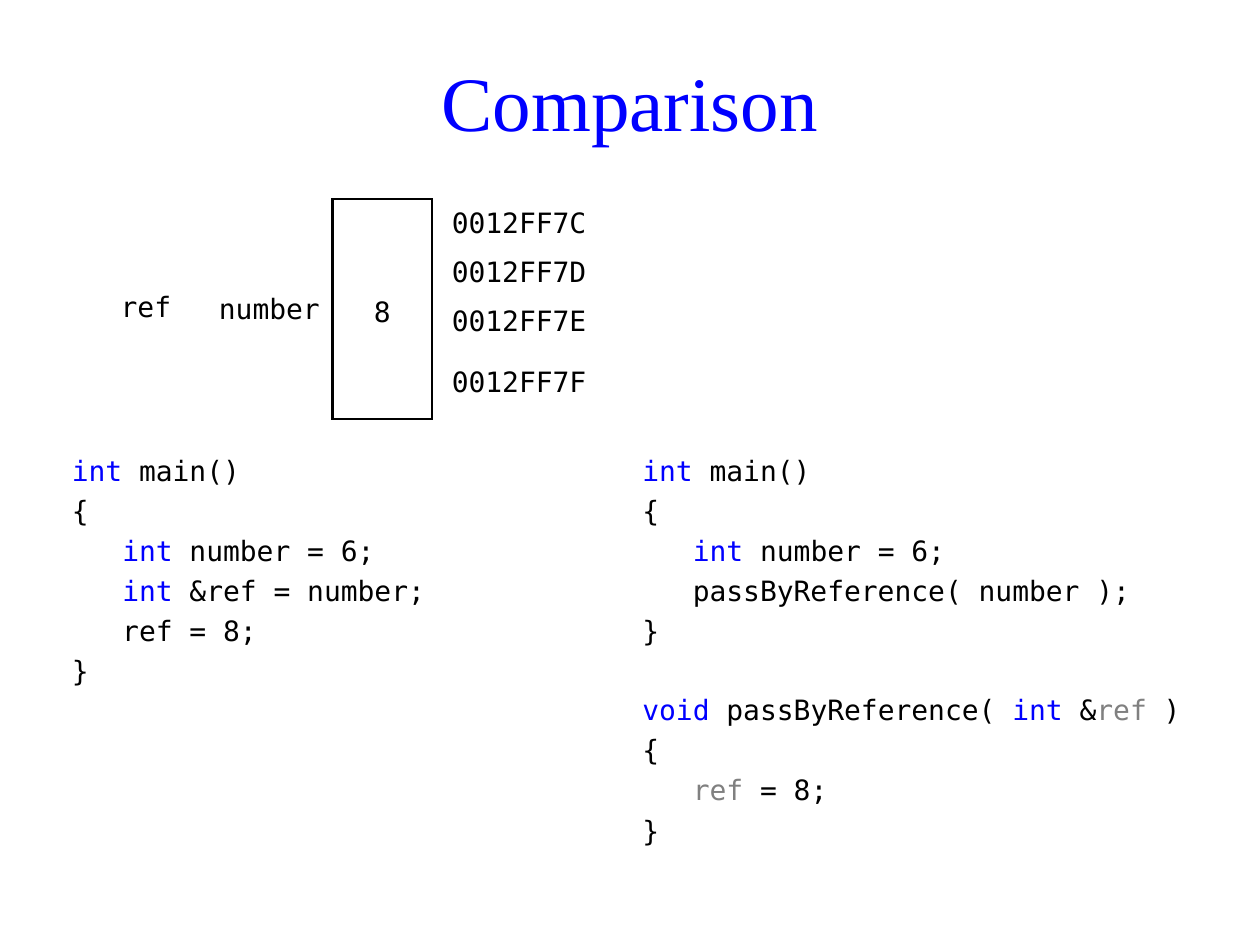
from dataclasses import dataclass

from pptx import Presentation
from pptx.dml.color import RGBColor
from pptx.enum.text import MSO_ANCHOR, PP_ALIGN
from pptx.oxml.ns import qn
from pptx.util import Pt
from lxml import etree

LEFT, CENTER, RIGHT = PP_ALIGN.LEFT, PP_ALIGN.CENTER, PP_ALIGN.RIGHT
TOP, MIDDLE = MSO_ANCHOR.TOP, MSO_ANCHOR.MIDDLE


@dataclass(frozen=True)
class Theme:
    title_font: str = "Times New Roman"
    code_font: str = "DejaVu Sans Mono"
    title_size: float = 44
    code_size: float = 16
    line_gap: float = 3.7
    section_gap: float = 26
    border: float = 1.5
    accent: str = "0000FF"
    ink: str = "000000"
    muted: str = "808080"


THEME = Theme()


def keyword(text):
    return text, THEME.accent


def plain(text):
    return text, THEME.ink


def reference(text):
    return text, THEME.muted


class SlideBuilder:
    def __init__(self, slide, theme):
        self.slide = slide
        self.theme = theme

    def add_span(self, para, text, color, font, size):
        span = para.add_run()
        span.text = text
        span.font.name = font
        span.font.size = Pt(size)
        span.font.color.rgb = RGBColor.from_string(color)

    def text_frame(self, left, top, width, height, anchor):
        box = self.slide.shapes.add_textbox(Pt(left), Pt(top), Pt(width), Pt(height))
        frame = box.text_frame
        frame.word_wrap = True
        frame.vertical_anchor = anchor
        return frame

    def title(self, text, *place):
        para = self.text_frame(*place, MIDDLE).paragraphs[0]
        para.alignment = CENTER
        self.add_span(para, text, self.theme.accent, self.theme.title_font, self.theme.title_size)

    def code(self, functions, *place):
        """Write functions one below another, with a wider gap between them."""
        frame = self.text_frame(*place, TOP)
        para = None
        for lines in functions:
            for index, line in enumerate(lines):
                if para is None:
                    para = frame.paragraphs[0]
                else:
                    para = frame.add_paragraph()
                    para.space_before = Pt(self.theme.line_gap if index else self.theme.section_gap)
                para.alignment = LEFT
                for text, color in line:
                    self.add_span(para, text, color, self.theme.code_font, self.theme.code_size)

    def table(self, left, top, widths, row_height, row_count):
        frame = self.slide.shapes.add_table(
            row_count, len(widths), Pt(left), Pt(top), Pt(sum(widths)), Pt(row_height * row_count))
        table = frame.table
        table.first_row = table.horz_banding = False
        for column, width in zip(table.columns, widths):
            column.width = Pt(width)
        for row in table.rows:
            row.height = Pt(row_height)
        return table

    def style_cell(self, cell, sides):
        """Draw the named sides (of L, R, T, B), clear the others and the fill."""
        properties = cell._tc.get_or_add_tcPr()
        for side in "LRTB":
            line = etree.SubElement(properties, qn(f"a:ln{side}"), w=str(Pt(self.theme.border)))
            if side in sides:
                fill = etree.SubElement(line, qn("a:solidFill"))
                etree.SubElement(fill, qn("a:srgbClr"), val=self.theme.ink)
            else:
                etree.SubElement(line, qn("a:noFill"))
        cell.fill.background()

    def cell_text(self, cell, text, alignment, side_margin, bottom_margin, spacing=1.0):
        cell.vertical_anchor = MIDDLE
        cell.margin_left = cell.margin_right = Pt(side_margin)
        cell.margin_top, cell.margin_bottom = Pt(3), Pt(bottom_margin)
        para = cell.text_frame.paragraphs[0]
        para.alignment = alignment
        para.line_spacing = spacing
        self.add_span(para, text, self.theme.ink, self.theme.code_font, self.theme.code_size)


def add_memory_table(builder):
    addresses = ["0012FF7C", "0012FF7D", "0012FF7E", "0012FF7F"]
    # Text, alignment and bottom margin of the cells that span all rows
    spans = [("ref", RIGHT, 11.5), ("number", RIGHT, 10), ("8", CENTER, 5.8)]
    column_sides = ["", "R", "LRTB", "L"]
    table = builder.table(48, 113.8, [57, 85, 57, 99.4], 28.1, len(addresses))
    last = len(addresses) - 1

    # Borders: a frame around the value column only
    for row in range(len(addresses)):
        for column, sides in enumerate(column_sides):
            builder.style_cell(table.cell(row, column), sides)

    # Names and value
    for column, (text, alignment, bottom) in enumerate(spans):
        cell = table.cell(0, column)
        cell.merge(table.cell(last, column))
        builder.cell_text(cell, text, alignment, 7.2, bottom, 1.4)

    # Byte addresses
    for row, address in enumerate(addresses):
        builder.cell_text(table.cell(row, len(spans)), address, CENTER, 5.8, 3)


def main():
    deck = Presentation()
    deck.slide_width, deck.slide_height = Pt(720), Pt(540)
    builder = SlideBuilder(deck.slides.add_slide(deck.slide_layouts[6]), THEME)

    builder.title("Comparison", 34, 15, 652, 85)
    add_memory_table(builder)

    # Lines shared by both programs
    opening, closing = [plain("{")], [plain("}")]
    main_start = [
        [keyword("int"), plain(" main()")],
        opening,
        [plain("   "), keyword("int"), plain(" number = 6;")],
    ]

    # Left: a reference variable
    reference_main = main_start + [
        [plain("   "), keyword("int"), plain(" &ref = number;")],
        [plain("   ref = 8;")],
        closing,
    ]
    builder.code([reference_main], 34, 255.6, 227, 142)

    # Right: a reference parameter
    calling_main = main_start + [[plain("   passByReference( number );")], closing]
    pass_by_reference = [
        [keyword("void "), plain("passByReference( "), keyword("int"), plain(" &"),
         reference("ref"), plain(" )")],
        opening,
        [plain("   "), reference("ref"), plain(" = 8;")],
        closing,
    ]
    builder.code([calling_main, pass_by_reference], 360, 255.6, 326, 241)

    deck.save("out.pptx")


if __name__ == "__main__":
    main()
